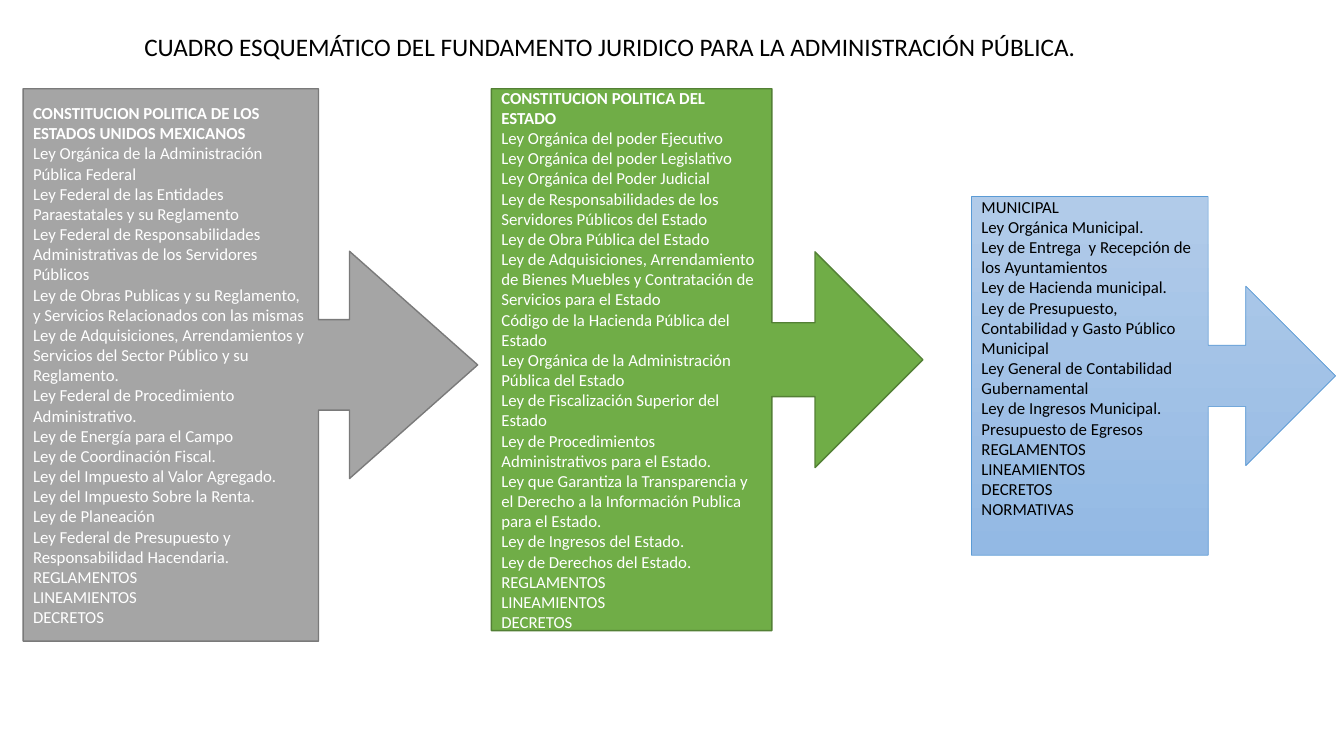
"""Builds the slide on the legal basis of public administration: federal, state and municipal."""
from pptx import Presentation
from pptx.dml.color import RGBColor
from pptx.enum.shapes import MSO_SHAPE as Preset
from pptx.enum.text import MSO_ANCHOR as Anchor, PP_ALIGN as Align
from pptx.util import Pt


def color(hex_code):
    return RGBColor.from_string(hex_code)


def write(frame, lines, size, hex_code, bold_heading=False):
    for i, line in enumerate(lines):
        paragraph = frame.paragraphs[0] if i == 0 else frame.add_paragraph()
        paragraph.text = line
        paragraph.alignment = Align.LEFT
        paragraph.font.name = "Calibri"
        paragraph.font.size = Pt(size)
        paragraph.font.bold = bold_heading and i == 0
        paragraph.font.color.rgb = color(hex_code)


federal_laws = [
    "CONSTITUCION POLITICA DE LOS ESTADOS UNIDOS MEXICANOS",
    "Ley Orgánica de la Administración Pública Federal",
    "Ley Federal de las Entidades Paraestatales y su Reglamento",
    "Ley Federal de Responsabilidades Administrativas de los Servidores Públicos",
    "Ley de Obras Publicas y su Reglamento, y Servicios Relacionados con las mismas",
    "Ley de Adquisiciones, Arrendamientos y Servicios del Sector Público y su Reglamento.",
    "Ley Federal de Procedimiento Administrativo.",
    "Ley de Energía para el Campo",
    "Ley de Coordinación Fiscal.",
    "Ley del Impuesto al Valor Agregado.",
    "Ley del Impuesto Sobre la Renta.",
    "Ley de Planeación",
    "Ley Federal de Presupuesto y Responsabilidad Hacendaria.",
]
state_laws = [
    "CONSTITUCION POLITICA DEL ESTADO",
    "Ley Orgánica del poder Ejecutivo",
    "Ley Orgánica del poder Legislativo",
    "Ley Orgánica del Poder Judicial",
    "Ley de Responsabilidades de los Servidores Públicos del Estado",
    "Ley de Obra Pública del Estado",
    "Ley de Adquisiciones, Arrendamiento de Bienes Muebles y Contratación de Servicios para el Estado",
    "Código de la Hacienda Pública del Estado",
    "Ley Orgánica de la Administración Pública del Estado",
    "Ley de Fiscalización Superior del Estado",
    "Ley de Procedimientos Administrativos para el Estado.",
    "Ley que Garantiza la Transparencia y el Derecho a la Información Publica para el Estado.",
    "Ley de Ingresos del Estado.",
    "Ley de Derechos del Estado.",
]
municipal_laws = [
    "MUNICIPAL",
    "Ley Orgánica Municipal.",
    "Ley de Entrega  y Recepción de los Ayuntamientos",
    "Ley de Hacienda municipal.",
    "Ley de Presupuesto, Contabilidad y Gasto Público Municipal",
    "Ley General de Contabilidad Gubernamental",
    "Ley de Ingresos Municipal.",
    "Presupuesto de Egresos",
]
rules = ["REGLAMENTOS", "LINEAMIENTOS", "DECRETOS"]

levels = [
    (federal_laws + rules, (16.5, 63.4, 324.7, 394.5), (0.199, 0.25, 0.282, 0.65),
     ["A5A5A5"], "7A7A7A", 1, "FFFFFF"),
    (state_laws + rules, (351, 63.4, 308.2, 387), (0.171, 0.25, 0.25, 0.65),
     ["70AD47"], "538035", 1, "FFFFFF"),
    (municipal_laws + rules + ["NORMATIVAS"], (694, 140.4, 260, 256.3), (0.171, 0.25, 0.25, 0.65),
     ["B1CBE9", "93B9E4"], "5B9BD5", 0.5, "000000"),
]

deck = Presentation()
deck.slide_width, deck.slide_height = Pt(960), Pt(540)
slide = deck.slides.add_slide(deck.slide_layouts[6])

for laws, box, proportions, fills, outline, outline_width, ink in levels:
    level = slide.shapes.add_shape(Preset.RIGHT_ARROW_CALLOUT, *map(Pt, box))
    level.shadow.inherit = False
    for i, proportion in enumerate(proportions):
        level.adjustments[i] = proportion
    if len(fills) == 1:
        level.fill.solid()
        level.fill.fore_color.rgb = color(fills[0])
    else:
        level.fill.gradient()
        level.fill.gradient_angle = 270
        for stop, shade in zip(level.fill.gradient_stops, fills):
            stop.color.rgb = color(shade)
    level.line.color.rgb = color(outline)
    level.line.width = Pt(outline_width)
    frame = level.text_frame
    frame.word_wrap = True
    frame.vertical_anchor = Anchor.MIDDLE
    write(frame, laws, 12, ink, bold_heading=laws[0].startswith("CONSTITUCION"))

municipal_frame = frame
municipal_frame.vertical_anchor = Anchor.TOP
municipal_frame.margin_top = 0

title = slide.shapes.add_textbox(Pt(96), Pt(19), Pt(681), Pt(29))
title.text_frame.word_wrap = False
write(title.text_frame,
      ["CUADRO ESQUEMÁTICO DEL FUNDAMENTO JURIDICO PARA LA ADMINISTRACIÓN PÚBLICA."], 18, "000000")

deck.save("out.pptx")
